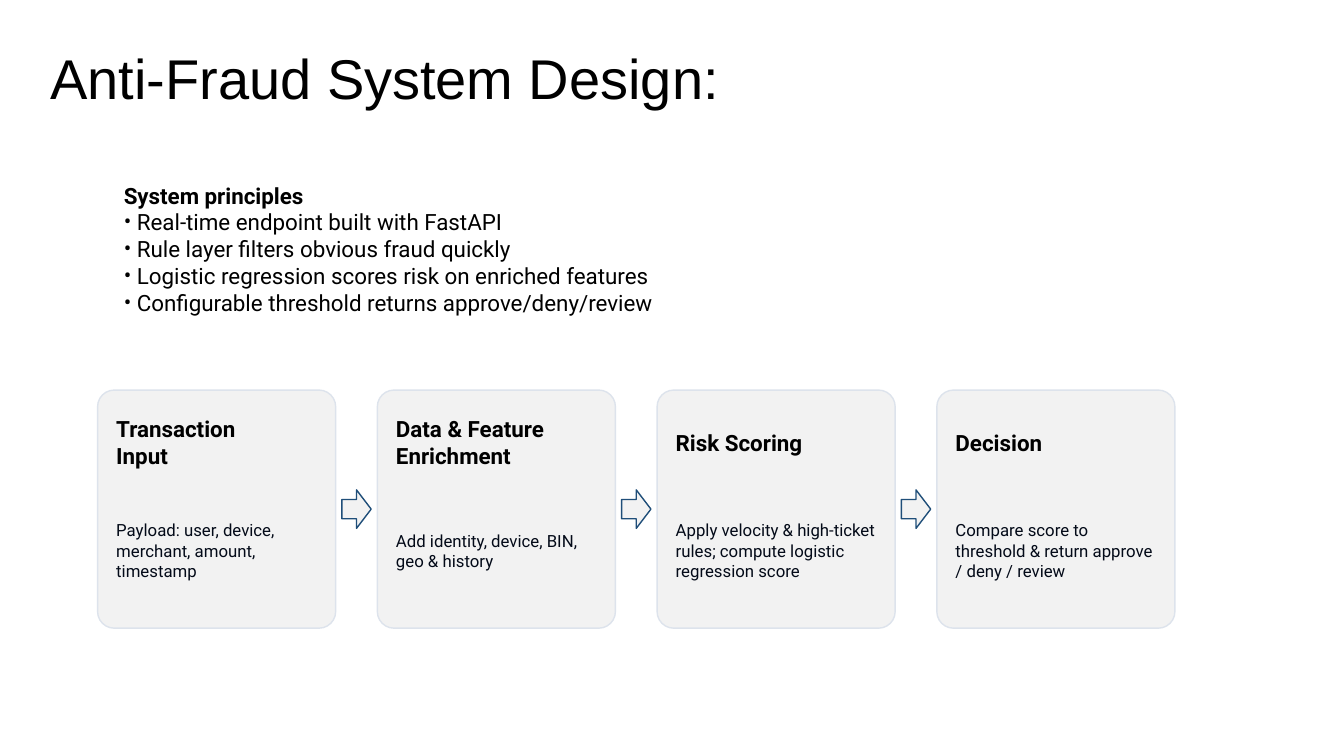
from dataclasses import dataclass

from lxml.etree import SubElement
from pptx import Presentation
from pptx.dml.color import RGBColor
from pptx.enum.shapes import MSO_SHAPE
from pptx.enum.text import MSO_ANCHOR, PP_ALIGN
from pptx.oxml.ns import qn
from pptx.shapes.autoshape import Shape
from pptx.shapes.shapetree import GroupShapes
from pptx.util import Cm, Length, Pt

BLACK = RGBColor(0x00, 0x00, 0x00)
INK = RGBColor(0x03, 0x0A, 0x18)
CARD_FILL = RGBColor(0xF2, 0xF2, 0xF2)
CARD_LINE = RGBColor(0xDD, 0xE3, 0xEC)
ARROW_LINE = RGBColor(0x1F, 0x4E, 0x79)

CARD_LEFT, CARD_TOP, CARD_SIZE = Cm(2.46), Cm(9.83), Cm(6)
CARD_PITCH = Cm(7.05)
PANEL_INSET, PANEL_WIDTH = Cm(0.22), Cm(5.56)
HEAD_TOP, HEAD_HEIGHT = Cm(10.11), Cm(2.08)
BODY_TOP, BODY_HEIGHT = Cm(12.22), Cm(3.3)
ARROW_WIDTH, ARROW_HEIGHT = Cm(0.74), Cm(0.97)
BULLET_INDENT = Cm(0.33)


@dataclass(frozen=True)
class TextStyle:
    size: int
    color: RGBColor = BLACK
    bold: bool = False
    font: str = "Roboto"
    bullet: bool = False


@dataclass(frozen=True)
class Stage:
    heading: list[str]
    detail: str


TITLE = TextStyle(40, font="Arial")
HEADING = TextStyle(16, bold=True)
BULLET = TextStyle(16, bullet=True)
DETAIL = TextStyle(12, INK)

PRINCIPLES = [
    "Real‑time endpoint built with FastAPI",
    "Rule layer filters obvious fraud quickly",
    "Logistic regression scores risk on enriched features",
    "Configurable threshold returns approve/deny/review",
]
STAGES = [
    Stage(["Transaction", "Input"],
          "Payload: user, device, merchant, amount, timestamp"),
    Stage(["Data & Feature", "Enrichment"],
          "Add identity, device, BIN, geo & history"),
    Stage(["Risk Scoring"],
          "Apply velocity & high‑ticket rules; compute logistic regression score"),
    Stage(["Decision"],
          "Compare score to threshold & return approve / deny / review"),
]


def write_text(s: Shape, lines: list[tuple[str, TextStyle]]) -> None:
    tf = s.text_frame
    tf.word_wrap = True
    tf.vertical_anchor = MSO_ANCHOR.MIDDLE
    for i, (text, style) in enumerate(lines):
        p = tf.add_paragraph() if i else tf.paragraphs[0]
        p.alignment = PP_ALIGN.LEFT
        if style.bullet:
            pPr = p._p.get_or_add_pPr()
            pPr.set("marL", str(BULLET_INDENT))
            pPr.set("indent", str(-BULLET_INDENT))
            SubElement(pPr, qn("a:buFont"), typeface=style.font)
            SubElement(pPr, qn("a:buChar"), char="•")
        r = p.add_run()
        r.text = text
        r.font.name = style.font
        r.font.size = Pt(style.size)
        r.font.bold = style.bold
        r.font.color.rgb = style.color


def add_block(shapes: GroupShapes, kind: MSO_SHAPE, left: Length, top: Length,
              width: Length, height: Length, line: RGBColor | None = None) -> Shape:
    """Add a grey shape, outlined only when a line colour is given."""
    s = shapes.add_shape(kind, left, top, width, height)
    s.shadow.inherit = False
    s.fill.solid()
    s.fill.fore_color.rgb = CARD_FILL
    if line is None:
        s.line.fill.background()
    else:
        s.line.color.rgb = line
        s.line.width = Pt(1)
    return s


def add_stage(shapes: GroupShapes, stage: Stage, left: Length) -> None:
    card = add_block(shapes, MSO_SHAPE.ROUNDED_RECTANGLE, left, CARD_TOP,
                     CARD_SIZE, CARD_SIZE, CARD_LINE)
    card.adjustments[0] = 0.07
    panels = [
        (HEAD_TOP, HEAD_HEIGHT, [(line, HEADING) for line in stage.heading]),
        (BODY_TOP, BODY_HEIGHT, [(stage.detail, DETAIL)]),
    ]
    for top, height, lines in panels:
        panel = add_block(shapes, MSO_SHAPE.RECTANGLE, left + PANEL_INSET, top,
                          PANEL_WIDTH, height)
        write_text(panel, lines)


def add_arrow(shapes: GroupShapes, card_left: Length) -> None:
    """Centre an arrow in the gap to the right of a card."""
    left = card_left + (CARD_SIZE + CARD_PITCH - ARROW_WIDTH) // 2
    top = CARD_TOP + (CARD_SIZE - ARROW_HEIGHT) // 2
    add_block(shapes, MSO_SHAPE.RIGHT_ARROW, left, top,
              ARROW_WIDTH, ARROW_HEIGHT, ARROW_LINE)


def main() -> None:
    prs = Presentation()
    prs.slide_width, prs.slide_height = Cm(33.87), Cm(19.05)
    slide = prs.slides.add_slide(prs.slide_layouts[6])

    title = slide.shapes.add_textbox(Cm(1.02), Cm(1.02), Cm(31.83), Cm(1.85))
    write_text(title, [("Anti‑Fraud System Design:", TITLE)])

    flow = slide.shapes.add_group_shape().shapes
    for i, stage in enumerate(STAGES):
        left = CARD_LEFT + i * CARD_PITCH
        add_stage(flow, stage, left)
        if i < len(STAGES) - 1:
            add_arrow(flow, left)

    principles = slide.shapes.add_textbox(Cm(2.87), Cm(4.24), Cm(22.1), Cm(4.06))
    write_text(principles, [("System principles", HEADING)]
               + [(text, BULLET) for text in PRINCIPLES])

    prs.save("out.pptx")


if __name__ == "__main__":
    main()
